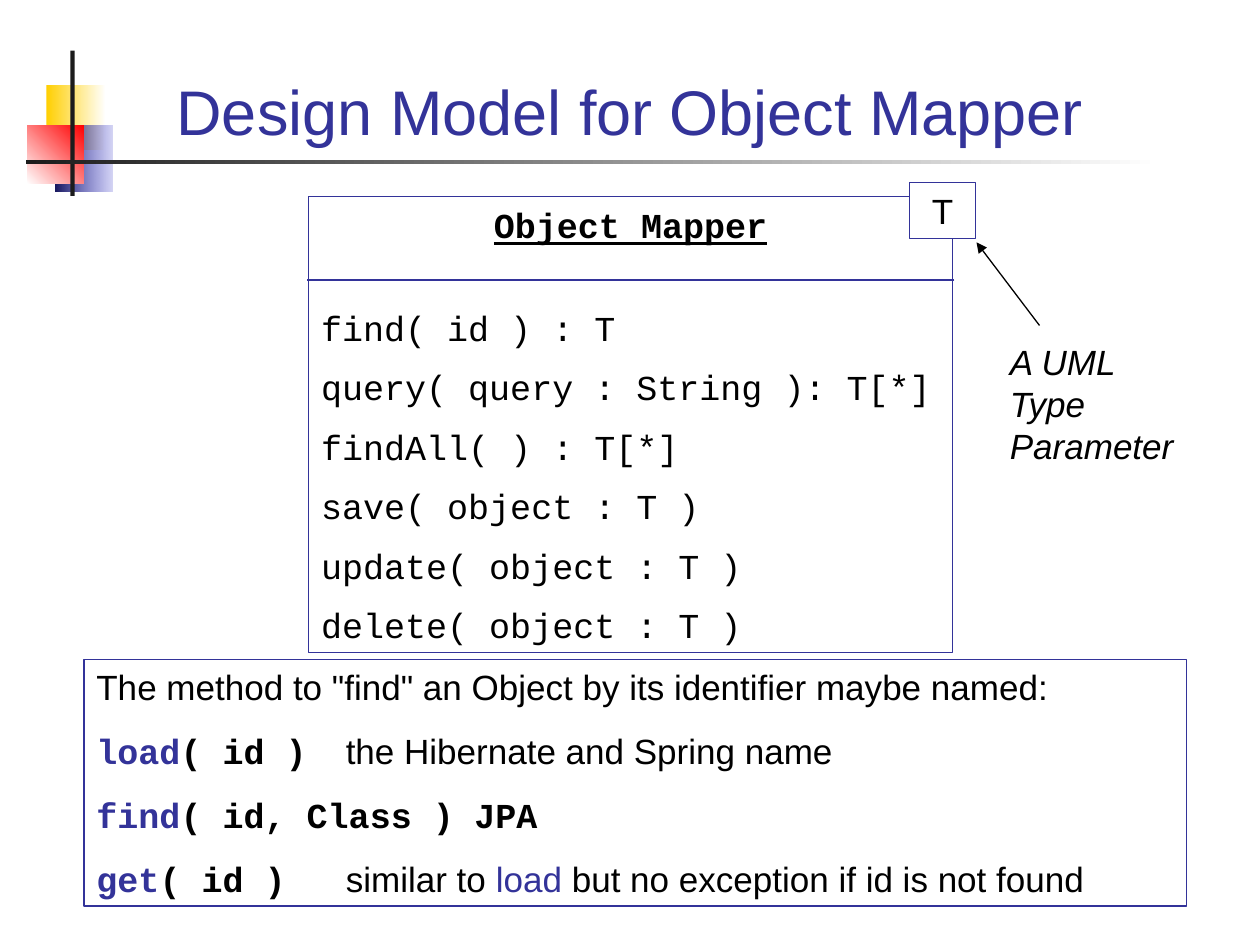
from pptx import Presentation
from pptx.util import Pt
from pptx.dml.color import RGBColor as RGB
from pptx.enum.shapes import MSO_SHAPE as Kind, MSO_CONNECTOR as Link
from pptx.enum.text import PP_ALIGN as Align, MSO_ANCHOR as Anchor
from pptx.oxml.ns import qn
from lxml.etree import SubElement as Sub

BLUE = RGB(0x33, 0x33, 0x99)
BLACK = RGB(0, 0, 0)
WHITE = RGB(255, 255, 255)
INK = RGB(0x1C, 0x1C, 0x1C)
GOLD = RGB(0xFF, 0xCF, 0x01)
NAVY = RGB(0x18, 0x18, 0x5E)
VIOLET = RGB(0x33, 0x33, 0xCC)
RED = RGB(255, 0, 0)
SANS, MONO = "Arial", "Courier New"

CALLS = ["find( id ) : T", "query( query : String ): T[*]", "findAll( ) : T[*]",
         "save( object : T )", "update( object : T )", "delete( object : T )"]


def add_rect(slide, box, fill=None, line=None):
    rect = slide.shapes.add_shape(Kind.RECTANGLE, *map(Pt, box))
    rect.shadow.inherit = False
    if fill is None:
        rect.fill.background()
    else:
        rect.fill.solid()
        rect.fill.fore_color.rgb = fill
    if line is None:
        rect.line.fill.background()
    else:
        rect.line.color.rgb = line
        rect.line.width = Pt(0.75)
    return rect


def add_fade(slide, box, first, last, angle=0):
    rect = add_rect(slide, box)
    rect.fill.gradient()
    rect.fill.gradient_angle = angle
    for stop, color, place in zip(rect.fill.gradient_stops, (first, last), (0, 1)):
        stop.color.rgb = color
        stop.position = place
    return rect


def add_line(slide, start, end, color, arrow=False):
    line = slide.shapes.add_connector(Link.STRAIGHT, *map(Pt, start + end))
    line.line.color.rgb = color
    line.line.width = Pt(0.75)
    if arrow:
        Sub(line.line._get_or_add_ln(), qn("a:tailEnd"), type="triangle")
    Sub(line._element.spPr, qn("a:effectLst"))


def set_frame(shape):
    frame = shape.text_frame
    frame.word_wrap = True
    frame.vertical_anchor = Anchor.TOP
    return frame


def add_para(frame, first=False, before=0, after=0, align=Align.LEFT, tabs=()):
    para = frame.paragraphs[0] if first else frame.add_paragraph()
    para.alignment = align
    para.space_before = Pt(0 if first else before)
    para.space_after = Pt(after)
    if tabs:
        stops = Sub(para._p.get_or_add_pPr(), qn("a:tabLst"))
        for tab in tabs:
            Sub(stops, qn("a:tab"), pos=str(Pt(tab)), algn="l")
    return para


def add_run(para, text, face=SANS, color=BLACK, size=20, bold=False, slant=False, under=False):
    run = para.add_run()
    run.text = text
    font = run.font
    font.name, font.size, font.color.rgb = face, Pt(size), color
    font.bold, font.italic, font.underline = bold, slant, under


def add_motif(slide, box):
    x, y, w, h = box
    add_fade(slide, (x + 11.5, y + 19.5, 34, 37.5), GOLD, WHITE)
    navy = add_fade(slide, (x + 16.5, y + 43, 32.5, 37.5), NAVY, VIOLET)
    tint = navy._element.spPr.findall(".//" + qn("a:srgbClr"))[-1]
    Sub(tint, qn("a:alpha"), val="20000")
    add_fade(slide, (x + 0.5, y + 42.5, 32.5, 33.5), WHITE, RED, 45)
    add_rect(slide, (x + 25.2, y, 2.4, h), INK)
    add_fade(slide, (x, y + 62.5, w, 2.4), INK, WHITE)


def add_title(slide, box):
    title = slide.shapes.title
    title.left, title.top, title.width, title.height = map(Pt, box)
    frame = set_frame(title)
    frame.vertical_anchor = Anchor.BOTTOM
    add_run(add_para(frame, True, align=Align.CENTER), "Design Model for Object Mapper",
            color=BLUE, size=36)


def add_class(slide, box):
    x, y, w, h = box
    frame = set_frame(add_rect(slide, box, line=BLUE))
    head = add_para(frame, True, after=25, align=Align.CENTER)
    add_run(head, "Object Mapper", MONO, bold=True, under=True)
    for call in CALLS:
        add_run(add_para(frame, before=10), call, MONO)
    add_line(slide, (x + w + 1, y + 47.5), (x - 1, y + 47.5), BLUE)
    tag = set_frame(add_rect(slide, (x + w - 24.5, y - 8, 37.5, 31.7), WHITE, BLUE))
    tag.vertical_anchor = Anchor.MIDDLE
    add_run(add_para(tag, True, align=Align.CENTER), "T")


def add_label(slide, box):
    x, y, w, h = box
    add_line(slide, (x + 24, y - 5), (x - 12, y - 52.5), BLACK, True)
    frame = set_frame(slide.shapes.add_textbox(*map(Pt, box)))
    add_run(add_para(frame, True), "A UML Type Parameter", slant=True)


def add_names(slide, box):
    frame = set_frame(add_rect(slide, box, line=BLUE))
    add_run(add_para(frame, True), 'The method to "find" an Object by its identifier maybe named:')
    rows = [("load", "( id )\t", [("the Hibernate and Spring name", BLACK)]),
            ("find", "( id, Class )\tJPA", []),
            ("get", "( id )\t", [("similar to ", BLACK), ("load", BLUE),
                                 (" but no exception if id is not found", BLACK)])]
    for name, args, notes in rows:
        para = add_para(frame, before=12.5, tabs=(142.5, 216))
        add_run(para, name, MONO, BLUE, bold=True)
        add_run(para, args, MONO, bold=True)
        for text, color in notes:
            add_run(para, text, color=color)


def main():
    deck = Presentation()
    deck.slide_width, deck.slide_height = Pt(720), Pt(540)
    slide = deck.slides.add_slide(deck.slide_layouts[5])
    add_motif(slide, (15, 29, 648, 83))
    add_title(slide, (48, 20, 624, 68.5))
    add_class(slide, (176.4, 112.5, 368, 260.5))
    add_label(slide, (570, 191, 114, 79))
    add_names(slide, (48, 376.8, 630, 141))
    deck.save("out.pptx")


if __name__ == "__main__":
    main()
